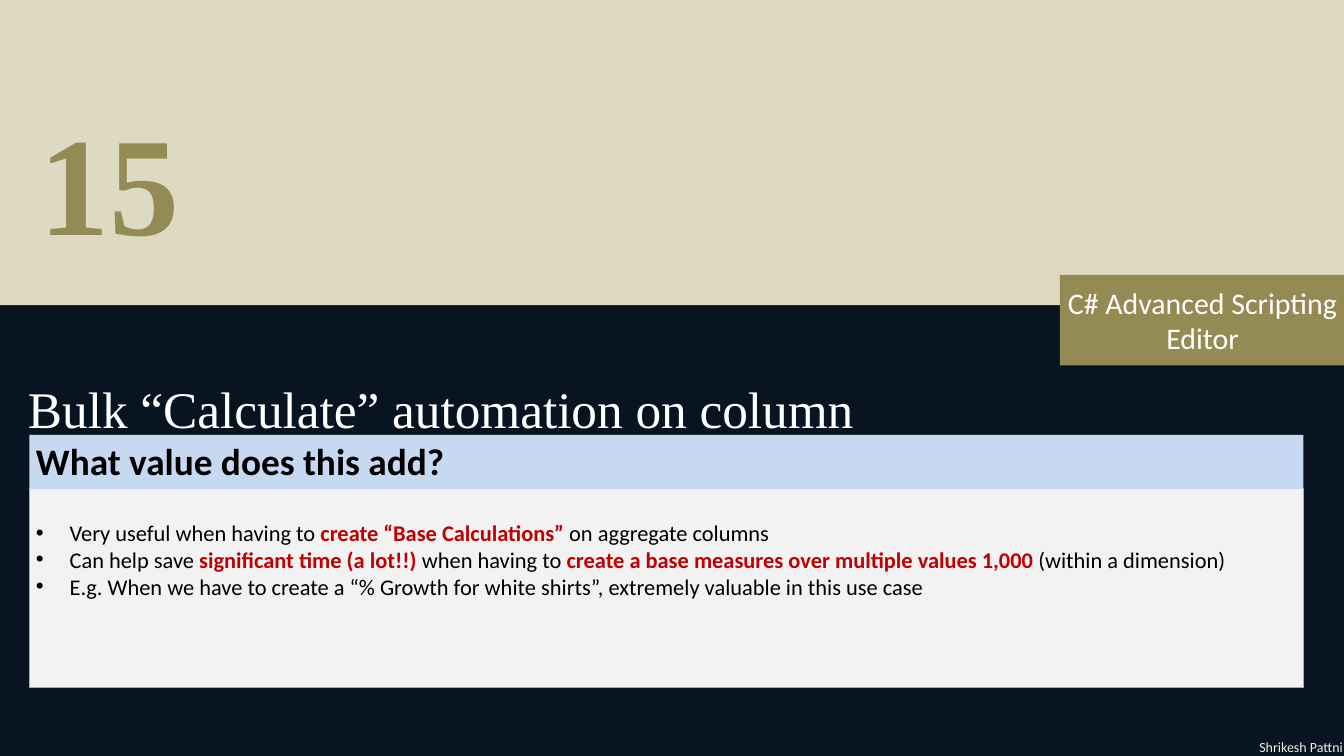
from lxml import etree
from pptx import Presentation
from pptx.dml.color import RGBColor
from pptx.enum.shapes import MSO_SHAPE as Shape
from pptx.enum.text import MSO_ANCHOR as Anchor, PP_ALIGN as Align
from pptx.oxml.ns import qn
from pptx.util import Pt

SANS, SERIF = "Calibri", "Times New Roman"
NAVY, SAND, OLIVE, RED = "081422", "DDD9C3", "948A54", "C00000"
WHITE, BLACK = "FFFFFF", "000000"
BULLETS = [
    [("Very useful when having to ", False), ("create “Base Calculations”", True),
     (" on aggregate columns", False)],
    [("Can help save ", False), ("significant time (a lot!!) ", True),
     ("when having to ", False),
     ("create a base measures over multiple values 1,000 ", True),
     ("(within a dimension)", False)],
    [("E.g. When we have to create a “% Growth for white shirts”, "
      "extremely valuable in this use case", False)],
]


def color(value):
    """Turn a hex string into a colour."""
    return RGBColor.from_string(value)


def apply(target, values):
    """Set attributes of an object from a dict."""
    for name, value in values.items():
        setattr(target, name, value)


def add_run(paragraph, text, size, hue, font=SANS, bold=False):
    """Append a formatted run to a paragraph."""
    run = paragraph.add_run()
    run.text = text
    apply(run.font, {"name": font, "size": Pt(size), "bold": bold})
    run.font.color.rgb = color(hue)


def add_box(slide, box, fill, line=None):
    """Add a flat rectangle with top-left text."""
    shape = slide.shapes.add_shape(Shape.RECTANGLE, *map(Pt, box))
    shape.shadow.inherit = False
    shape.fill.solid()
    shape.fill.fore_color.rgb = color(fill)
    if line:
        shape.line.color.rgb = color(line)
        shape.line.width = Pt(0.75)
    else:
        shape.line.fill.background()
    apply(shape.text_frame, {"word_wrap": True, "vertical_anchor": Anchor.TOP})
    shape.text_frame.paragraphs[0].alignment = Align.LEFT
    return shape


def add_heading(slide, box, text, size, hue, bold=False):
    """Add a serif heading with no insets and a fixed line pitch."""
    frame = slide.shapes.add_textbox(*map(Pt, box)).text_frame
    sides = ("left", "top", "right", "bottom")
    apply(frame, {f"margin_{side}": 0 for side in sides})
    frame.word_wrap = True
    paragraph = frame.paragraphs[0]
    paragraph.line_spacing = Pt(102)
    add_run(paragraph, text, size, hue, SERIF, bold)


def add_tag(slide, box, text):
    """Add the topic tag at the right edge."""
    frame = add_box(slide, box, OLIVE).text_frame
    frame.vertical_anchor = Anchor.MIDDLE
    frame.paragraphs[0].alignment = Align.CENTER
    add_run(frame.paragraphs[0], text, 32, WHITE)


def add_author(slide, box, text):
    """Add the right-aligned author name."""
    frame = slide.shapes.add_textbox(*map(Pt, box)).text_frame
    frame.word_wrap = True
    frame.paragraphs[0].alignment = Align.RIGHT
    add_run(frame.paragraphs[0], text, 15, "EBF1DE")


def add_value_panel(slide, box, title, bullets):
    """Add a bulleted panel under a title bar."""
    left, top, width, height = box
    bar = 58
    body = add_box(slide, (left, top + bar - 1, width, height - bar + 1),
                   "F2F2F2", "D99694")
    frame = body.text_frame
    frame.margin_top = Pt(33)
    for index, pieces in enumerate(bullets):
        paragraph = frame.add_paragraph() if index else frame.paragraphs[0]
        paragraph.alignment = Align.LEFT
        properties = paragraph._p.get_or_add_pPr()
        properties.set("marL", str(Pt(36)))
        properties.set("indent", str(-Pt(36)))
        etree.SubElement(properties, qn("a:buFont"), typeface="Arial")
        etree.SubElement(properties, qn("a:buChar"), char="•")
        for text, strong in pieces:
            add_run(paragraph, text, 24, RED if strong else BLACK, bold=strong)
    header = add_box(slide, (left, top, width, bar), "C6D9F1")
    add_run(header.text_frame.paragraphs[0], title, 40, BLACK, bold=True)


def main():
    """Build and save the slide."""
    presentation = Presentation()
    apply(presentation, {"slide_width": Pt(1440), "slide_height": Pt(810)})
    slide = presentation.slides.add_slide(presentation.slide_layouts[6])
    slide.background.fill.solid()
    slide.background.fill.fore_color.rgb = color(NAVY)
    add_box(slide, (0, -3, 1440, 330), SAND)
    add_heading(slide, (42, 180, 1080, 117), "15", 150, OLIVE, True)
    add_author(slide, (1299, 787.5, 147, 25), "Shrikesh Pattni")
    add_heading(slide, (30, 368.5, 1206, 91.5),
                "Bulk “Calculate” automation on column", 55, WHITE)
    add_tag(slide, (1135.5, 294.5, 306, 97), "C# Advanced Scripting Editor")
    add_value_panel(slide, (31.5, 466, 1365, 270.5),
                    "What value does this add?", BULLETS)
    presentation.save("out.pptx")


if __name__ == "__main__":
    main()
